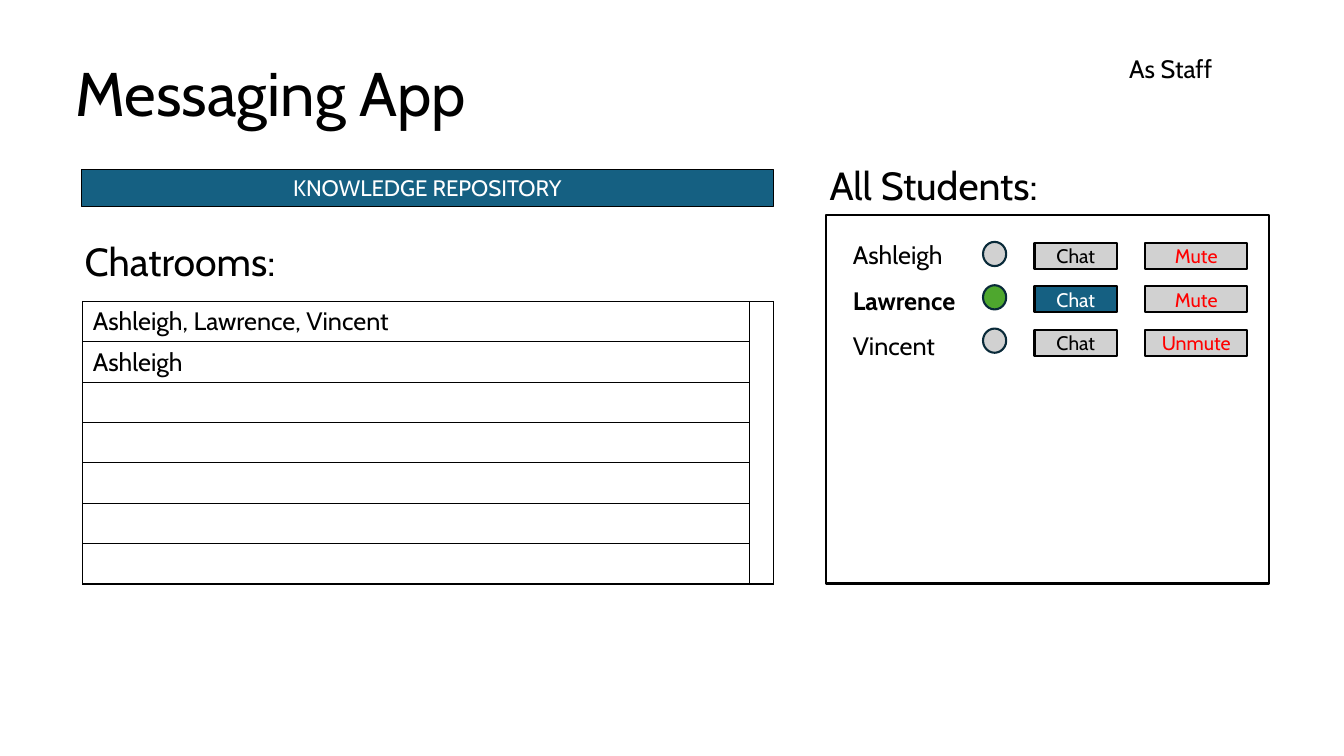
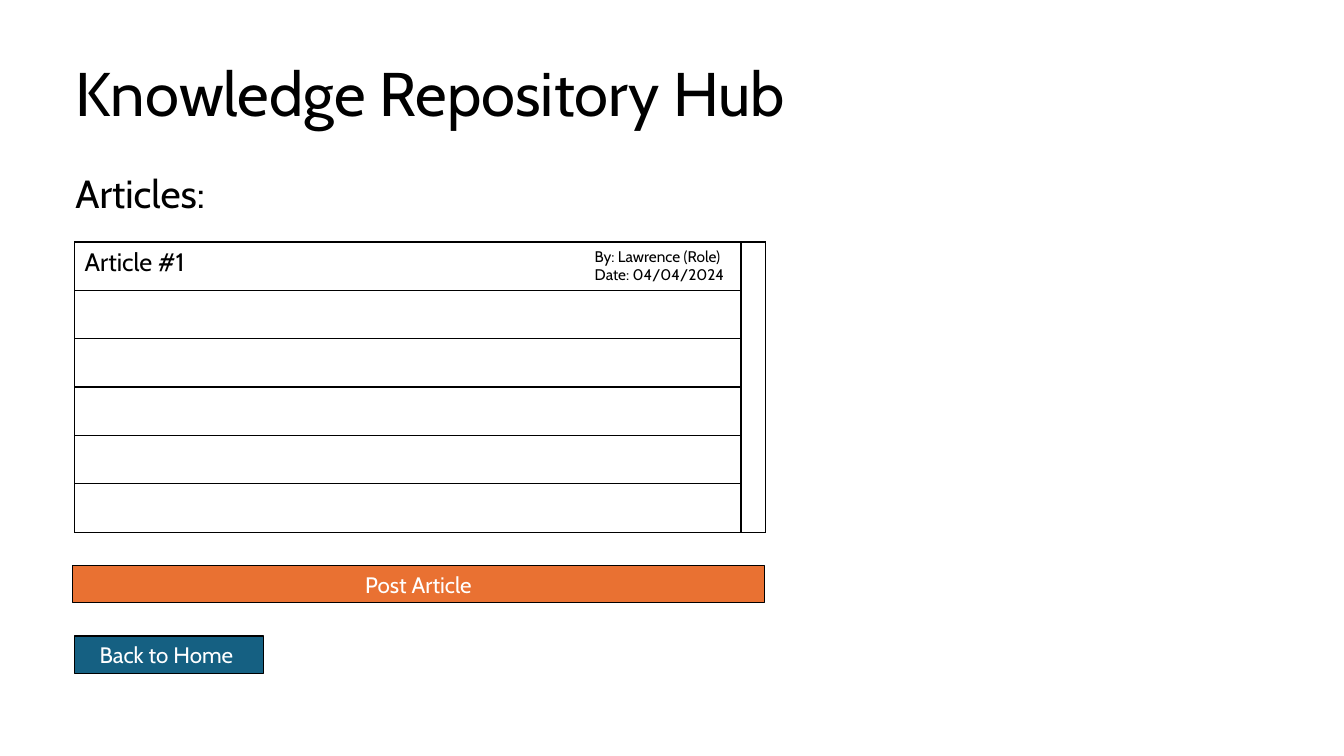
import pptx
import pptx.dml.color
import pptx.enum.shapes
import pptx.enum.text
import pptx.oxml
import pptx.oxml.ns
import pptx.util

Inches = pptx.util.Inches
Pt = pptx.util.Pt
RGBColor = pptx.dml.color.RGBColor
MSO_SHAPE = pptx.enum.shapes.MSO_SHAPE
MSO_ANCHOR = pptx.enum.text.MSO_ANCHOR
PP_ALIGN = pptx.enum.text.PP_ALIGN

FONT = "Cabin"
BLACK = RGBColor(0x00, 0x00, 0x00)
WHITE = RGBColor(0xFF, 0xFF, 0xFF)
BLUE = RGBColor(0x15, 0x60, 0x82)
NAVY = RGBColor(0x09, 0x2A, 0x39)
ORANGE = RGBColor(0xE9, 0x71, 0x32)
GREEN = RGBColor(0x4E, 0xA7, 0x2E)
GREY = RGBColor(0xD1, 0xD1, 0xD1)
RED = RGBColor(0xFF, 0x00, 0x00)

LIST_W = 6.84
SCROLL_W = 0.23
BANNER_W = 6.86
BANNER_H = 0.37
STUDENTS = [
    ("Ashleigh", False, "Mute"),
    ("Lawrence", True, "Mute"),
    ("Vincent", False, "Unmute"),
]


def style(p, size, color=BLACK, bold=False):
    """Set the font of a paragraph."""
    p.font.name = FONT
    p.font.size = Pt(size)
    p.font.bold = bold
    p.font.color.rgb = color


def add_text(slide, x, y, w, h, lines, size, spacing=None, wrap=True):
    """Add a text box with one paragraph per line and return its frame."""
    tf = slide.shapes.add_textbox(Inches(x), Inches(y), Inches(w), Inches(h)).text_frame
    tf.word_wrap = wrap
    tf.text = "\n".join(lines)
    for p in tf.paragraphs:
        p.line_spacing = spacing
        style(p, size)
    return tf


def add_box(slide, kind, x, y, w, h, fill=None, line=BLACK, weight=1.5):
    """Add an outlined preset shape, unfilled unless a colour is given."""
    sp = slide.shapes.add_shape(kind, Inches(x), Inches(y), Inches(w), Inches(h))
    sp.shadow.inherit = False
    if fill is None:
        sp.fill.background()
    else:
        sp.fill.solid()
        sp.fill.fore_color.rgb = fill
    sp.line.color.rgb = line
    sp.line.width = Pt(weight)
    return sp


def add_button(slide, x, y, w, h, text, fill, color=WHITE, size=14, weight=1.5):
    """Add a rectangle with a centred label."""
    sp = add_box(slide, MSO_SHAPE.RECTANGLE, x, y, w, h, fill, weight=weight)
    tf = sp.text_frame
    tf.vertical_anchor = MSO_ANCHOR.MIDDLE
    tf.text = text
    p = tf.paragraphs[0]
    p.alignment = PP_ALIGN.CENTER
    style(p, size, color)


def add_banner(slide, x, y, text, fill, w=BANNER_W):
    """Add a thin-lined navigation button."""
    add_button(slide, x, y, w, BANNER_H, text, fill, size=16, weight=0.75)


def add_title(slide, text):
    """Add the slide title."""
    tf = add_text(slide, 0.65, 0.23, 11.5, 1.45, [text], 44, 0.9)
    tf.vertical_anchor = MSO_ANCHOR.MIDDLE


def add_heading(slide, x, y, text):
    """Add a section heading."""
    add_text(slide, x, y, 2.78, 0.82, [text], 28, 0.9)


def outline_cell(cell):
    """Give a cell no fill and a thin black border on every side."""
    cell.fill.background()
    tc_pr = cell._tc.get_or_add_tcPr()
    for i, side in enumerate(("lnL", "lnR", "lnT", "lnB")):
        tc_pr.insert(i, pptx.oxml.parse_xml(
            f'<a:{side} {pptx.oxml.ns.nsdecls("a")} w="12700"><a:solidFill>'
            f'<a:srgbClr val="{BLACK}"/></a:solidFill></a:{side}>'))


def add_list(slide, x, y, row_h, count, entries):
    """Add a list table whose merged last column is the scroll bar."""
    frame = slide.shapes.add_table(
        count, 2, Inches(x), Inches(y), Inches(LIST_W), Inches(row_h * count))
    table = frame.table
    table.first_row = table.horz_banding = False
    table.columns[0].width = Inches(LIST_W - SCROLL_W)
    table.columns[1].width = Inches(SCROLL_W)
    for row in table.rows:
        row.height = Inches(row_h)
        for cell in row.cells:
            outline_cell(cell)
    for i, entry in enumerate(entries):
        cell = table.cell(i, 0)
        cell.text = entry
        style(cell.text_frame.paragraphs[0], 18)
    table.cell(0, 1).merge(table.cell(count - 1, 1))


def add_students(slide, x, y, w, h):
    """Add the student panel with status lights and action buttons."""
    add_box(slide, MSO_SHAPE.RECTANGLE, x, y, w, h)
    names = [name for name, _, _ in STUDENTS]
    tf = add_text(slide, x + 0.17, y + 0.05, 2.03, 1.87, names, 18, 1.5)
    for i, (_, active, action) in enumerate(STUDENTS):
        top = y + 0.28 + 0.43 * i
        tf.paragraphs[i].font.bold = active
        add_box(slide, MSO_SHAPE.OVAL, x + 1.56, top - 0.01, 0.23, 0.24,
                GREEN if active else GREY, NAVY)
        add_button(slide, x + 2.07, top, 0.82, 0.26, "Chat",
                   BLUE if active else GREY, WHITE if active else BLACK)
        add_button(slide, x + 3.17, top, 1.01, 0.26, action, GREY, RED)


def messaging_slide(slide):
    """Build the messaging home screen."""
    add_title(slide, "Messaging App")
    add_text(slide, 11.1, 0.48, 1.04, 0.4, ["As Staff"], 18, wrap=False)
    add_banner(slide, 0.81, 1.68, "KNOWLEDGE REPOSITORY", BLUE)
    add_heading(slide, 0.74, 2.36, "Chatrooms:")
    add_list(slide, 0.82, 2.99, 0.4, 7, ["Ashleigh, Lawrence, Vincent", "Ashleigh"])
    add_heading(slide, 8.13, 1.6, "All Students:")
    add_students(slide, 8.19, 2.13, 4.4, 3.66)


def repository_slide(slide):
    """Build the article list screen."""
    add_title(slide, "Knowledge Repository Hub")
    add_heading(slide, 0.65, 1.68, "Articles:")
    add_list(slide, 0.74, 2.4, 0.48, 6, ["Article #1"])
    add_text(slide, 5.8, 2.4, 1.73, 0.47,
             ["By: Lawrence (Role)", "Date: 04/04/2024"], 11)
    add_banner(slide, 0.72, 5.61, "Post Article", ORANGE)
    add_banner(slide, 0.74, 6.31, "Back to Home ", BLUE, 1.87)


def main():
    """Build and save the deck."""
    prs = pptx.Presentation()
    prs.slide_width = Inches(13.33)
    prs.slide_height = Inches(7.5)
    for build in (messaging_slide, repository_slide):
        build(prs.slides.add_slide(prs.slide_layouts[6]))
    prs.save("out.pptx")


if __name__ == "__main__":
    main()
